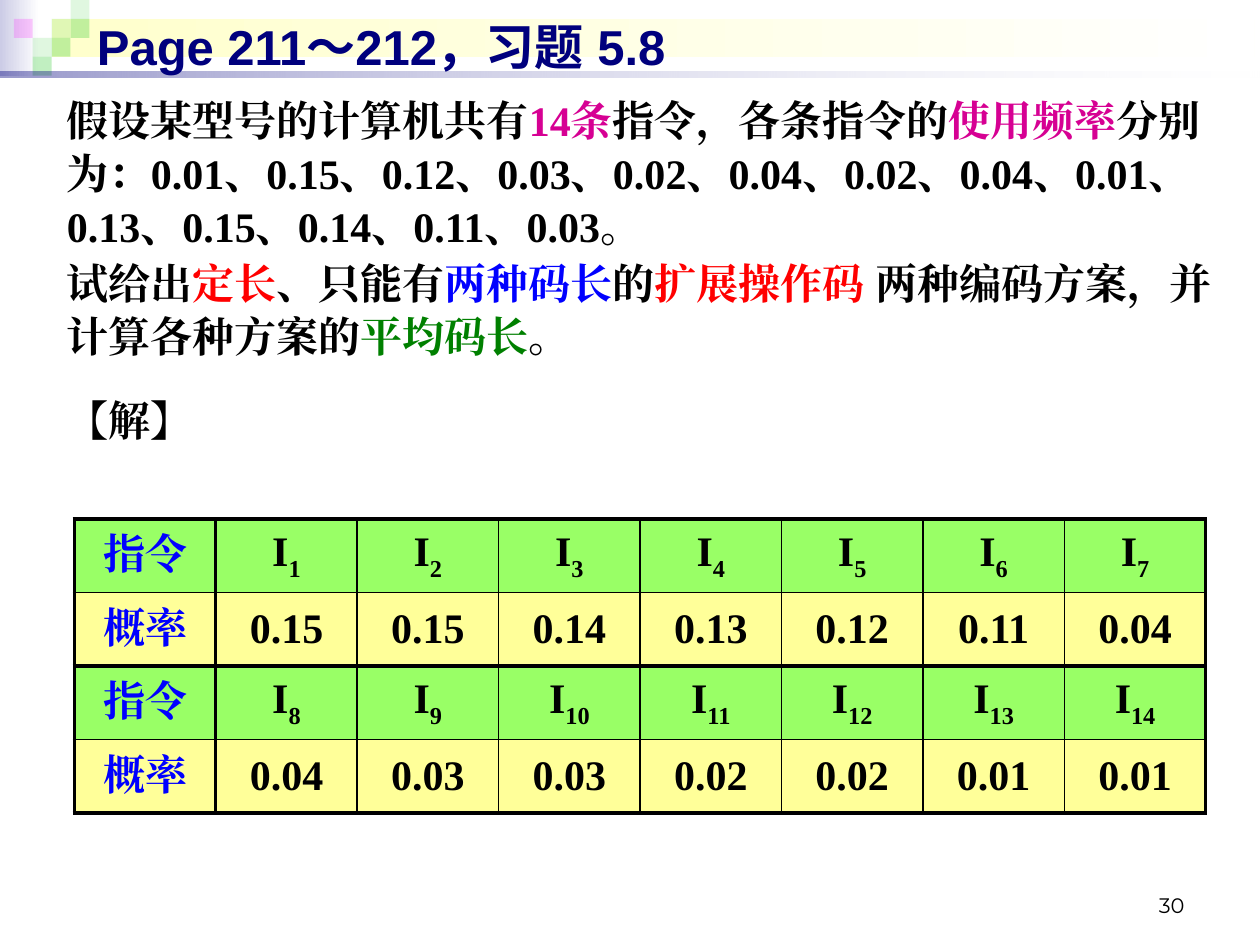
import pptx
import pptx.dml.color
import pptx.enum.shapes
import pptx.enum.text
import pptx.oxml
import pptx.oxml.ns
import pptx.util
from lxml import etree

Pt = pptx.util.Pt
qn = pptx.oxml.ns.qn
ALIGN = pptx.enum.text.PP_ALIGN
ANCHOR = pptx.enum.text.MSO_ANCHOR
SERIF, SANS, CHINESE = "Times New Roman", "Arial", "Noto Sans CJK SC"
BLACK, NAVY, BLUE, RED = "000000", "00007D", "0000FF", "FF0000"
MAGENTA, GREEN = "D60093", "008000"


def rgb(value):
    return pptx.dml.color.RGBColor.from_string(value)


def add_text(paragraph, text, size=24, font=SERIF, color=BLACK, bold=True, baseline=0):
    run = paragraph.add_run()
    run.text = text
    run.font.size = Pt(size)
    run.font.name = font
    run.font.bold = bold
    run.font.color.rgb = rgb(color)
    properties = run.font._element
    etree.SubElement(properties, qn("a:ea")).set("typeface", font)
    if baseline:
        properties.set("baseline", str(baseline * 1000))


def place(shape, box):
    shape.left, shape.top, shape.width, shape.height = map(Pt, box)


def add_block(group, box, colors, opacities=()):
    """Add a borderless rectangle; two colours make a left-to-right gradient."""
    shape = group.shapes.add_shape(
        pptx.enum.shapes.MSO_SHAPE.RECTANGLE, *map(Pt, box))
    shape.shadow.inherit = False
    shape.line.fill.background()
    if len(colors) == 1:
        shape.fill.solid()
        shape.fill.fore_color.rgb = rgb(colors[0])
    else:
        shape.fill.gradient()
        shape.fill.gradient_angle = 0
        for stop, color in zip(shape.fill.gradient_stops, colors):
            stop.color.rgb = rgb(color)
    for element, opacity in zip(shape.element.iter(qn("a:srgbClr")), opacities):
        etree.SubElement(element, qn("a:alpha")).set("val", str(opacity * 1000))


def add_banner(slide, box):
    left, top, width, height = box
    group = slide.shapes.add_group_shape()
    add_block(group, (left, top, 22.5, height), ["CCCCE6", "FFFFFF"])
    add_block(group, (left + 29.5, top + 10.8, 687.5, 21.6), ["FFFFCC", "FFFFFF"])
    side = 10.8
    squares = [
        (2, 1, "33CC33", 15), (3, 0, "33CC33", 15), (3, 1, "33CC33", 30),
        (1, 2, "33CC33", 15), (0, 1, "FF00FF", 20), (2, 2, "33CC33", 30),
        (1, 3, "33CC33", 30),
    ]
    for column, row, color, opacity in squares:
        square = (left + 7.9 + column * side, top + row * side, side, side)
        add_block(group, square, [color], [opacity])
    add_block(group, (left, top + 41, width, 3.6), [NAVY, "FFFFFF"], [40, 10])
    slide.shapes.element.insert(2, group.element)


def fill_title(slide, box):
    title = slide.shapes.title
    place(title, box)
    frame = title.text_frame
    frame.vertical_anchor = ANCHOR.MIDDLE
    frame.auto_size = pptx.enum.text.MSO_AUTO_SIZE.NONE
    paragraph = frame.paragraphs[0]
    paragraph.alignment = ALIGN.LEFT
    for text, font in [("Page 211～212", SANS), ("，", CHINESE), ("习题 5.8", SANS)]:
        add_text(paragraph, text, size=28, font=font, color=NAVY)


def fill_body(slide, box):
    body = slide.placeholders[1]
    place(body, box)
    frame = body.text_frame
    frame.auto_size = pptx.enum.text.MSO_AUTO_SIZE.NONE
    paragraphs = [
        (0, [("假设某型号的计算机共有", BLACK), ("14条", MAGENTA),
             ("指令，各条指令的", BLACK), ("使用频率", MAGENTA),
             ("分别为：0.01、0.15、0.12、0.03、0.02、0.04、0.02、"
              "0.04、0.01、0.13、0.15、0.14、0.11、0.03。", BLACK)]),
        (2.4, [("试给出", BLACK), ("定长", RED), ("、只能有", BLACK),
               ("两种码长", BLUE), ("的", BLACK), ("扩展操作码", RED),
               (" 两种编码方案，并计算各种方案的", BLACK),
               ("平均码长", GREEN), ("。", BLACK)]),
        (18, [("【解】", BLACK)]),
    ]
    for index, (space_before, runs) in enumerate(paragraphs):
        paragraph = frame.add_paragraph() if index else frame.paragraphs[0]
        properties = paragraph._p.get_or_add_pPr()
        properties.set("marL", "0")
        properties.set("indent", "0")
        etree.SubElement(properties, qn("a:buNone"))
        paragraph.space_before = Pt(space_before)
        paragraph.line_spacing = 1.05
        for text, color in runs:
            add_text(paragraph, text, color=color)


def set_borders(cell, widths):
    """Draw black borders; widths are for left, right, top and bottom."""
    properties = cell._tc.get_or_add_tcPr()
    for side, width in zip("LRTB", widths):
        line = etree.SubElement(properties, qn("a:ln" + side), w=str(Pt(width)))
        fill = etree.SubElement(line, qn("a:solidFill"))
        etree.SubElement(fill, qn("a:srgbClr")).set("val", BLACK)


def add_probability_table(slide, box, probabilities, per_row=7):
    row_count = 2 * len(probabilities) // per_row
    table = slide.shapes.add_table(row_count, per_row + 1, *map(Pt, box)).table
    table.first_row = table.horz_banding = False
    thick, thin = 2.25, 1
    for row in range(row_count):
        is_name_row = row % 2 == 0
        for column in range(per_row + 1):
            cell = table.cell(row, column)
            set_borders(cell, (
                thick if column < 2 else thin,
                thick if column in (0, per_row) else thin,
                thick if is_name_row else thin,
                thin if is_name_row else thick,
            ))
            cell.fill.solid()
            cell.fill.fore_color.rgb = rgb("99FF66" if is_name_row else "FFFF99")
            cell.vertical_anchor = ANCHOR.MIDDLE
            paragraph = cell.text_frame.paragraphs[0]
            paragraph.alignment = ALIGN.CENTER
            number = row // 2 * per_row + column
            if column == 0:
                add_text(paragraph, "指令" if is_name_row else "概率", color=BLUE)
            elif is_name_row:
                add_text(paragraph, "I")
                add_text(paragraph, str(number), baseline=-25)
            else:
                add_text(paragraph, f"{probabilities[number - 1]:.2f}")


def add_page_number(slide, box, number):
    frame = slide.shapes.add_textbox(*map(Pt, box)).text_frame
    frame.word_wrap = True
    frame.vertical_anchor = ANCHOR.BOTTOM
    paragraph = frame.paragraphs[0]
    paragraph.alignment = ALIGN.RIGHT
    add_text(paragraph, number, size=12, font="Montserrat", bold=False)


def main():
    presentation = pptx.Presentation()
    presentation.slide_width, presentation.slide_height = Pt(720), Pt(540)
    slide = presentation.slides.add_slide(presentation.slide_layouts[1])
    add_banner(slide, (0, 0, 720, 43.2))
    add_page_number(slide, (516, 492, 168, 36), "30")
    fill_title(slide, (48.2, 3.6, 658, 45.4))
    fill_body(slide, (31, 49, 669, 244))
    add_probability_table(
        slide, (42.5, 296.6, 646.6, 168),
        [0.15, 0.15, 0.14, 0.13, 0.12, 0.11, 0.04,
         0.04, 0.03, 0.03, 0.02, 0.02, 0.01, 0.01])
    presentation.save("out.pptx")


if __name__ == "__main__":
    main()
